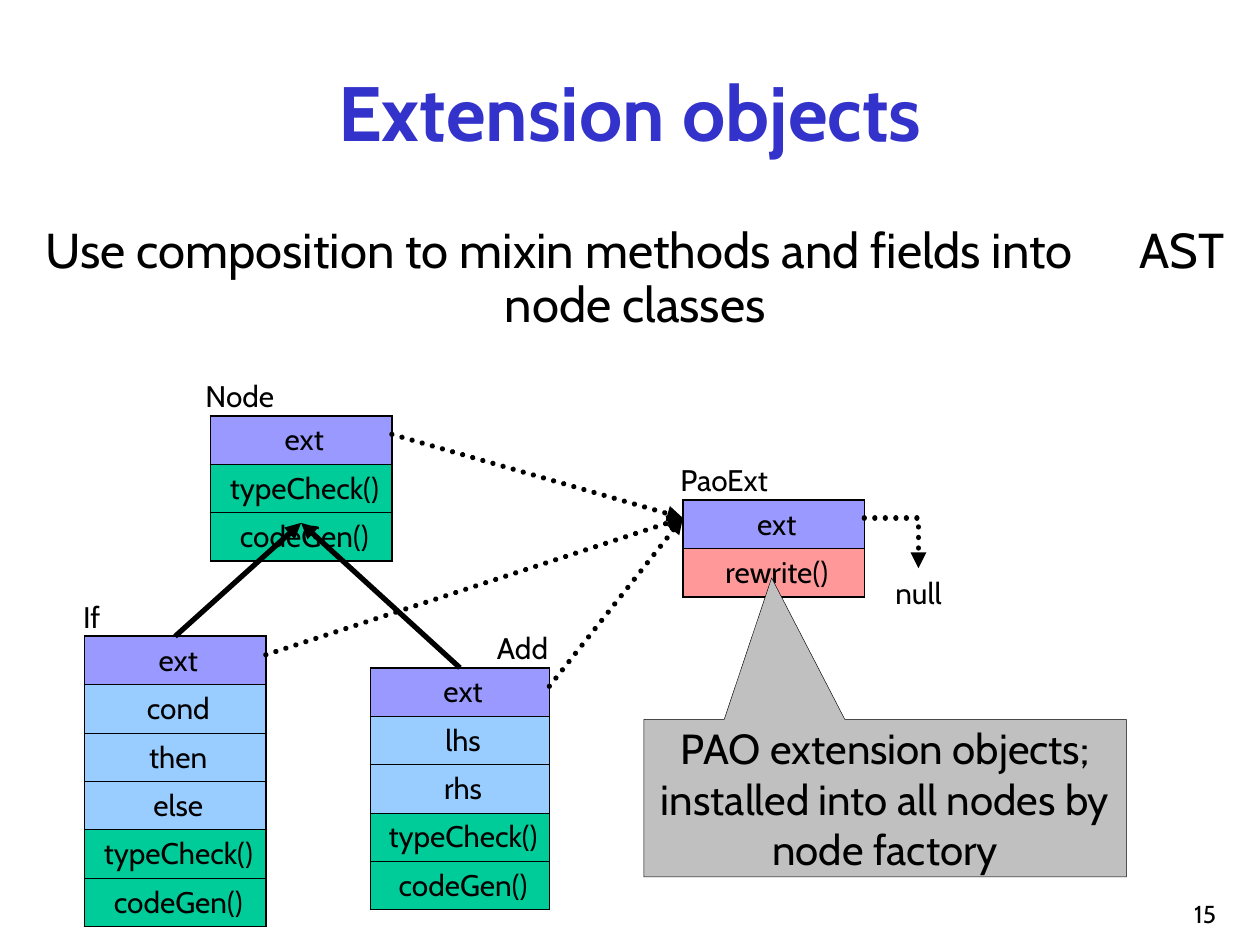
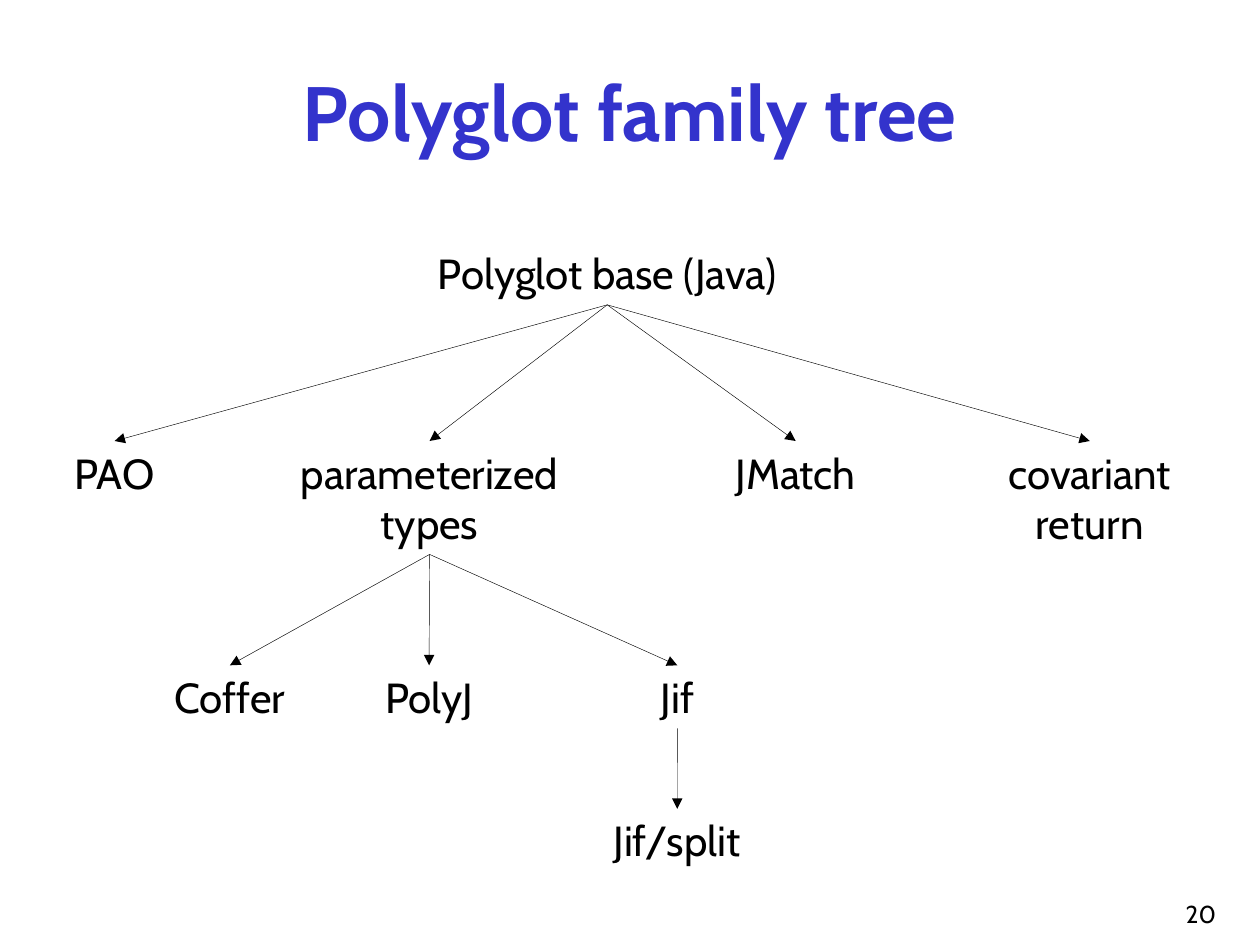
from lxml import etree
from pptx import Presentation
from pptx.dml.color import RGBColor
from pptx.enum.dml import MSO_LINE
from pptx.enum.shapes import MSO_CONNECTOR, MSO_SHAPE
from pptx.enum.text import MSO_ANCHOR, MSO_AUTO_SIZE, PP_ALIGN
from pptx.oxml.ns import qn
from pptx.util import Pt

STRAIGHT, ELBOW = MSO_CONNECTOR.STRAIGHT, MSO_CONNECTOR.ELBOW
LEFT, CENTER, RIGHT = PP_ALIGN.LEFT, PP_ALIGN.CENTER, PP_ALIGN.RIGHT
TOP, MIDDLE, BOTTOM = MSO_ANCHOR.TOP, MSO_ANCHOR.MIDDLE, MSO_ANCHOR.BOTTOM
GROW = MSO_AUTO_SIZE.SHAPE_TO_FIT_TEXT
DOTTED = MSO_LINE.ROUND_DOT
CALLOUT = MSO_SHAPE.RECTANGULAR_CALLOUT

FONT = "Cabin"
COLORS = {
    "title": "3333CC", "text": "000000", "line": "000000", "ext": "9999FF",
    "field": "99CCFF", "method": "00CC99", "mixin": "FF9999", "callout": "C0C0C0",
}
ROW_HEIGHT = 20.4
EXT_EXIT = 10.6

EXT = ("ext", "ext")
METHODS = [("typeCheck()", "method"), ("codeGen()", "method")]
CLASSES = {
    "Node": ((120.24, 237.6, 103.68), (117.4, 46.8, LEFT), [EXT, *METHODS]),
    "If": ((48.24, 363.6, 103.68), (47.5, 15.1, LEFT),
           [EXT, ("cond", "field"), ("then", "field"), ("else", "field"), *METHODS]),
    "Add": ((211.68, 381.6, 102.24), (281.5, 35.3, RIGHT),
            [EXT, ("lhs", "field"), ("rhs", "field"), *METHODS]),
    "PaoExt": ((390.24, 285.8, 103.68), (388.8, 58.3, LEFT), [EXT, ("rewrite()", "mixin")]),
}

TREE = {
    "base": (["Polyglot base (Java)"], 231.1, 138.2, 231.8),
    "pao": (["PAO"], 33.8, 252, 63.4),
    "types": (["parameterized", "types"], 155.5, 252, 180),
    "jmatch": (["JMatch"], 409, 252, 91.4),
    "covariant": (["covariant", "return"], 563, 252, 119.5),
    "coffer": (["Coffer"], 89.3, 380.2, 84.2),
    "polyj": (["PolyJ"], 211, 380.2, 68.4),
    "jif": (["Jif"], 369.4, 380.2, 35.3),
    "split": (["Jif/split"], 341.3, 462.2, 91.4),
}
CHILDREN = {
    "base": ["pao", "types", "jmatch", "covariant"],
    "types": ["coffer", "polyj", "jif"],
    "jif": ["split"],
}


def rgb(name):
    """Return the named colour."""
    return RGBColor.from_string(COLORS[name])


def apply(target, values):
    """Set each attribute in values on target."""
    for name, value in values.items():
        setattr(target, name, value)


def add_run(p, text, size, color="text", bold=False):
    """Add a formatted run to a paragraph."""
    r = p.add_run()
    r.text = text
    apply(r.font, {"name": FONT, "size": Pt(size), "bold": bold})
    r.font.color.rgb = rgb(color)
    return r


def write(tf, lines, size, align=CENTER, **style):
    """Write each line as a paragraph of the text frame."""
    for i, line in enumerate(lines):
        p = tf.add_paragraph() if i else tf.paragraphs[0]
        p.alignment = align
        add_run(p, line, size, **style)


def add_box(s, box, **frame):
    """Add a text box with the given frame settings."""
    sp = s.shapes.add_textbox(*map(Pt, box))
    apply(sp.text_frame, {"word_wrap": True, "vertical_anchor": TOP, **frame})
    return sp


def add_arrow(s, start, end, width, kind=STRAIGHT, dash=None):
    """Add an arrow between two points."""
    c = s.shapes.add_connector(kind, *map(Pt, (*start, *end)))
    c.line.color.rgb = rgb("line")
    c.line.width = Pt(width)
    spPr = c._element.spPr
    ln = spPr.find(qn("a:ln"))
    if dash:
        c.line.dash_style = dash
        ln.set("cap", "rnd")
    etree.SubElement(ln, qn("a:tailEnd"), type="triangle")
    etree.SubElement(spPr, qn("a:effectLst"))
    if kind == ELBOW:
        spPr.find(qn("a:prstGeom")).set("prst", "bentConnector2")
    return c


def add_base_slide(prs, title, number):
    """Add a blank slide with its title and slide number."""
    s = prs.slides.add_slide(prs.slide_layouts[6])
    sp = add_box(s, (18, 18, 684, 90), vertical_anchor=MIDDLE)
    write(sp.text_frame, [title], 44, color="title", bold=True)
    sp = add_box(s, (552.24, 498.24, 149.76, 36), vertical_anchor=BOTTOM)
    write(sp.text_frame, [str(number)], 14, RIGHT)
    return s


def set_borders(cell, first, last):
    """Draw thick outer and thin inner borders on a cell."""
    tcPr = cell._tc.get_or_add_tcPr()
    widths = {"L": 1.08, "R": 1.08, "T": 1.08 if first else 0.45, "B": 1.08 if last else 0.45}
    for side, width in widths.items():
        ln = etree.SubElement(tcPr, qn("a:ln" + side), w=str(Pt(width)))
        fill = etree.SubElement(ln, qn("a:solidFill"))
        etree.SubElement(fill, qn("a:srgbClr"), val=COLORS["line"])


def add_class(s, name, box, label, members):
    """Add a class table of members with its name above."""
    x, y, w = box
    n = len(members)
    table = s.shapes.add_table(n, 1, Pt(x), Pt(y), Pt(w), Pt(ROW_HEIGHT * n)).table
    apply(table, {"first_row": False, "horz_banding": False})
    for i, (member, kind) in enumerate(members):
        table.rows[i].height = Pt(ROW_HEIGHT)
        cell = table.cell(i, 0)
        apply(cell, {"vertical_anchor": MIDDLE, "margin_left": Pt(7.2), "margin_right": Pt(3.6),
                     "margin_top": Pt(3.6), "margin_bottom": Pt(3.6)})
        write(cell.text_frame, [member], 17)
        p = cell.text_frame.paragraphs[0]
        p.space_before = Pt(4.2)
        pPr = p._p.get_or_add_pPr()
        pPr.set("marL", str(Pt(8.64)))
        pPr.set("indent", str(Pt(-8.64)))
        set_borders(cell, i == 0, i == n - 1)
        cell.fill.solid()
        cell.fill.fore_color.rgb = rgb(kind)
    label_x, label_w, align = label
    sp = add_box(s, (label_x, y - 21.6, label_w, 20.2), word_wrap=False, auto_size=GROW,
                 vertical_anchor=MIDDLE, margin_left=0, margin_top=0,
                 margin_right=Pt(3.6), margin_bottom=0)
    write(sp.text_frame, [name], 17, align)


def add_intro(s, box):
    """Add the opening sentence with a wide gap before AST."""
    sp = add_box(s, box, auto_size=GROW)
    p = sp.text_frame.paragraphs[0]
    apply(p, {"alignment": CENTER, "line_spacing": 0.92,
              "space_before": Pt(17.5), "space_after": Pt(14.3)})
    add_run(p, "Use composition to mixin methods and fields into", 28)
    gap = add_run(p, " ", 28)
    gap.font._element.set("spc", "3240")
    add_run(p, "AST node classes", 28)


def add_callout(s, box):
    """Add the note that points at the extension object."""
    sp = s.shapes.add_shape(CALLOUT, *map(Pt, box))
    sp.shadow.inherit = False
    sp.adjustments[0], sp.adjustments[1] = -0.235, -1.399
    sp.fill.solid()
    sp.fill.fore_color.rgb = rgb("callout")
    sp.line.color.rgb = rgb("line")
    sp.line.width = Pt(0.25)
    apply(sp.text_frame, {"word_wrap": True, "vertical_anchor": MIDDLE})
    write(sp.text_frame, ["PAO extension objects; installed into all nodes by node factory"], 24)


def add_extension_slide(prs):
    """Add the class diagram of extension objects."""
    s = add_base_slide(prs, "Extension objects", 15)
    add_intro(s, (0, 125.28, 725.76, 69.12))
    for name, parts in CLASSES.items():
        add_class(s, name, *parts)
    x, y, w = CLASSES["Node"][0]
    node_bottom = (x + w / 2, y + ROW_HEIGHT * 3)
    for name in ("If", "Add"):
        x, y, w = CLASSES[name][0]
        add_arrow(s, (x + w / 2, y), node_bottom, 3)
    pao_x, pao_y, pao_w = CLASSES["PaoExt"][0]
    port_y = pao_y + ROW_HEIGHT / 2
    for name in ("If", "Add", "Node"):
        x, y, w = CLASSES[name][0]
        add_arrow(s, (x + w, y + EXT_EXIT), (pao_x, port_y), 3, dash=DOTTED)
    add_callout(s, (367.92, 411.12, 275.76, 90))
    add_arrow(s, (pao_x + pao_w, port_y), (524.88, 324.72), 3, ELBOW, DOTTED)
    sp = add_box(s, (502.56, 324.72, 44.64, 27.36), word_wrap=False, auto_size=GROW)
    write(sp.text_frame, ["null"], 17)


def add_tree_slide(prs):
    """Add the family tree with its arrows."""
    s = add_base_slide(prs, "Polyglot family tree", 20)
    nodes = {}
    for key, (lines, x, y, w) in TREE.items():
        box = (x, y, w, 7.2 + 28.8 * len(lines))
        nodes[key] = add_box(s, box, word_wrap=False, auto_size=GROW)
        write(nodes[key].text_frame, lines, 24)
    for parent, children in CHILDREN.items():
        for child in children:
            c = add_arrow(s, (0, 0), (0, 0), 0.25)
            c.begin_connect(nodes[parent], 2)
            c.end_connect(nodes[child], 0)


def main():
    """Build and save the presentation."""
    prs = Presentation()
    apply(prs, {"slide_width": Pt(720), "slide_height": Pt(540)})
    add_extension_slide(prs)
    add_tree_slide(prs)
    prs.save("out.pptx")


if __name__ == "__main__":
    main()
